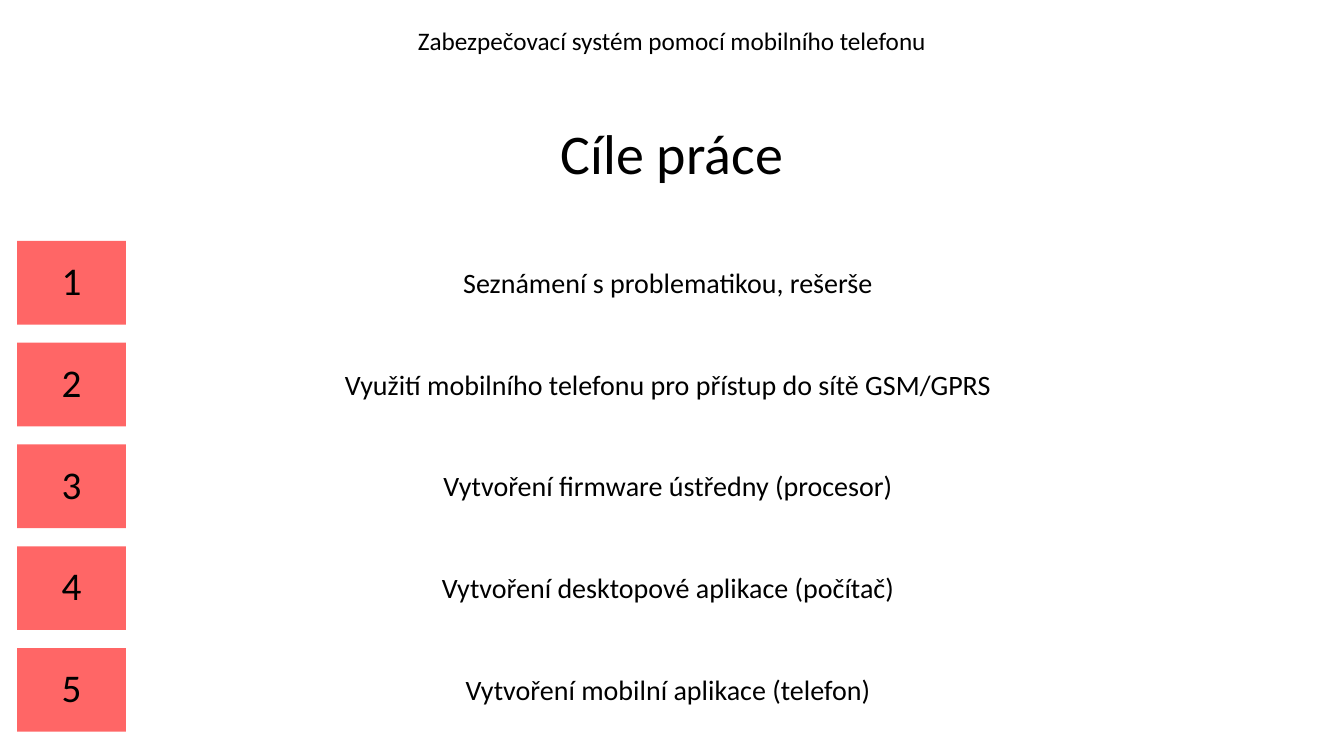
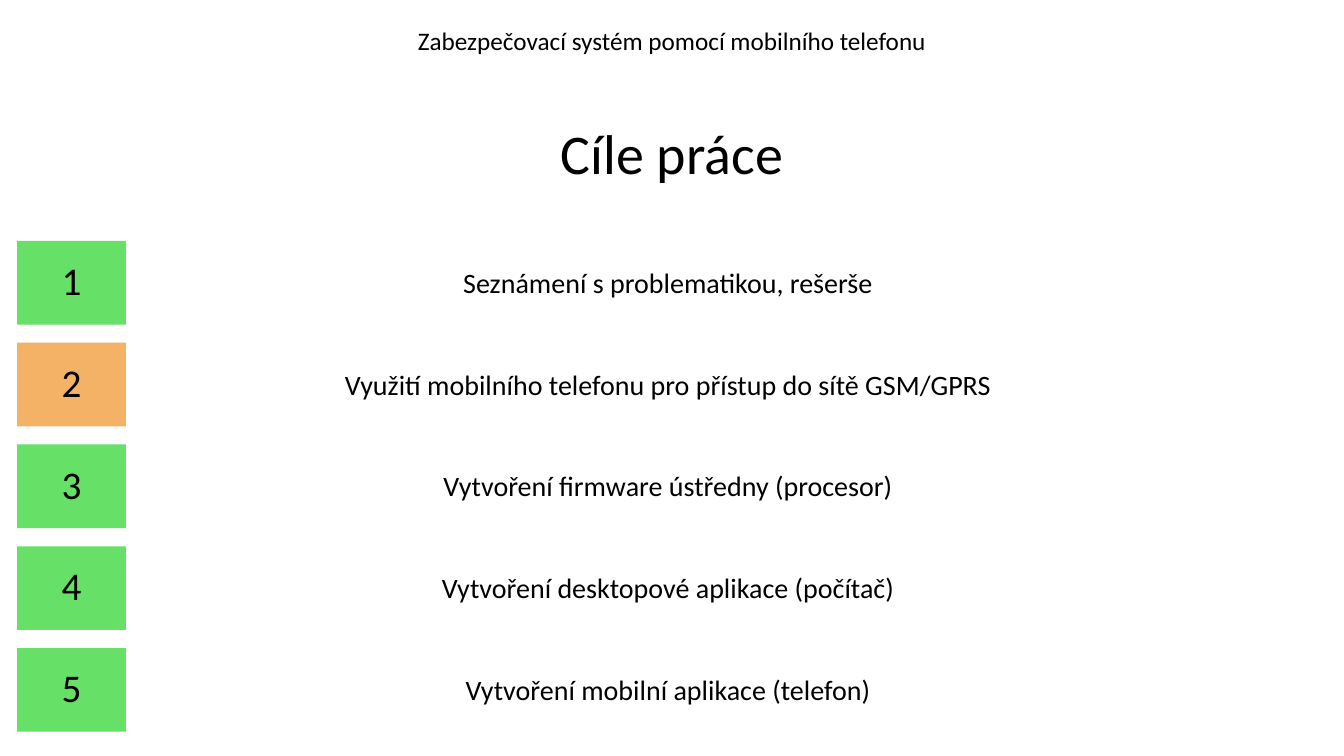
from dataclasses import dataclass

from lxml import etree
from pptx import Presentation, util as u
from pptx.dml.color import RGBColor
from pptx.enum import shapes, text
from pptx.oxml import ns

# Shared look
WHITE = RGBColor(0xFF, 0xFF, 0xFF)
BLACK = RGBColor(0x00, 0x00, 0x00)
RED = RGBColor(0xFF, 0x00, 0x00)
GREEN = RGBColor(0x00, 0xCC, 0x00)
ORANGE = RGBColor(0xEE, 0x7F, 0x01)
FILL_OPACITY = 60
PARAGRAPH_FORMAT = {"alignment": text.PP_ALIGN.CENTER, "line_spacing": 0.9}
FRAME_FORMAT = {"word_wrap": True, "vertical_anchor": text.MSO_ANCHOR.MIDDLE}

# Grid of goal rows, in inches
SLIDE_W, SLIDE_H = 13.33, 7.5
ROW_LEFT, ROW_TOP, ROW_PITCH = 0.17, 2.39, 1.01
BADGE_W, BADGE_H = 1.08, 0.83
GOAL_W, GOAL_H = 12.91, 0.68
GOAL_DROP = 0.09


@dataclass(frozen=True)
class Panel:
    left: float
    top: float
    width: float
    height: float
    label: str
    size: int
    fill: RGBColor = WHITE


HEADINGS = (
    Panel(0, 0.12, SLIDE_W, 0.6, "Zabezpečovací systém pomocí mobilního telefonu", 18),
    Panel(0, 0.9, SLIDE_W, 1.31, "Cíle práce", 40),
)
GOALS = (
    "Seznámení s problematikou, rešerše",
    "Využití mobilního telefonu pro přístup do sítě GSM/GPRS",
    "Vytvoření firmware ústředny (procesor)",
    "Vytvoření desktopové aplikace (počítač)",
    "Vytvoření mobilní aplikace (telefon)",
)
# Badge colours of the goals, one tuple per slide
GOAL_STATES = (
    (RED,) * len(GOALS),
    (GREEN, ORANGE, GREEN, GREEN, GREEN),
)


def apply(target, settings: dict) -> None:
    for attribute, value in settings.items():
        setattr(target, attribute, value)


def draw_panel(slide, panel: Panel) -> None:
    """Draw a translucent rectangle with one centred line of text."""
    bounds = (panel.left, panel.top, panel.width, panel.height)
    box = slide.shapes.add_shape(
        shapes.MSO_SHAPE.RECTANGLE, *(u.Inches(length) for length in bounds))
    box.shadow.inherit = False
    box.line.fill.background()
    box.fill.solid()
    box.fill.fore_color.rgb = panel.fill
    colour = box.fill._xPr.find(".//" + ns.qn("a:srgbClr"))
    etree.SubElement(colour, ns.qn("a:alpha"), val=str(FILL_OPACITY * 1000))

    apply(box.text_frame, FRAME_FORMAT)
    paragraph = box.text_frame.paragraphs[0]
    apply(paragraph, PARAGRAPH_FORMAT)
    run = paragraph.add_run()
    run.text = panel.label
    apply(run.font, {"name": "Calibri", "size": u.Pt(panel.size)})
    run.font.color.rgb = BLACK


def draw_goal(slide, index: int, goal: str, state: RGBColor) -> None:
    """Draw one row: the goal's text with its numbered badge on top."""
    top = ROW_TOP + index * ROW_PITCH
    draw_panel(slide, Panel(ROW_LEFT, top + GOAL_DROP, GOAL_W, GOAL_H, goal, 20))
    draw_panel(slide, Panel(ROW_LEFT, top, BADGE_W, BADGE_H, str(index + 1), 28, state))


def main() -> None:
    deck = Presentation()
    apply(deck, {"slide_width": u.Inches(SLIDE_W), "slide_height": u.Inches(SLIDE_H)})
    blank = deck.slide_layouts[6]
    for states in GOAL_STATES:
        slide = deck.slides.add_slide(blank)
        for heading in HEADINGS:
            draw_panel(slide, heading)
        for index, (goal, state) in enumerate(zip(GOALS, states)):
            draw_goal(slide, index, goal, state)
    deck.save("out.pptx")


if __name__ == "__main__":
    main()
